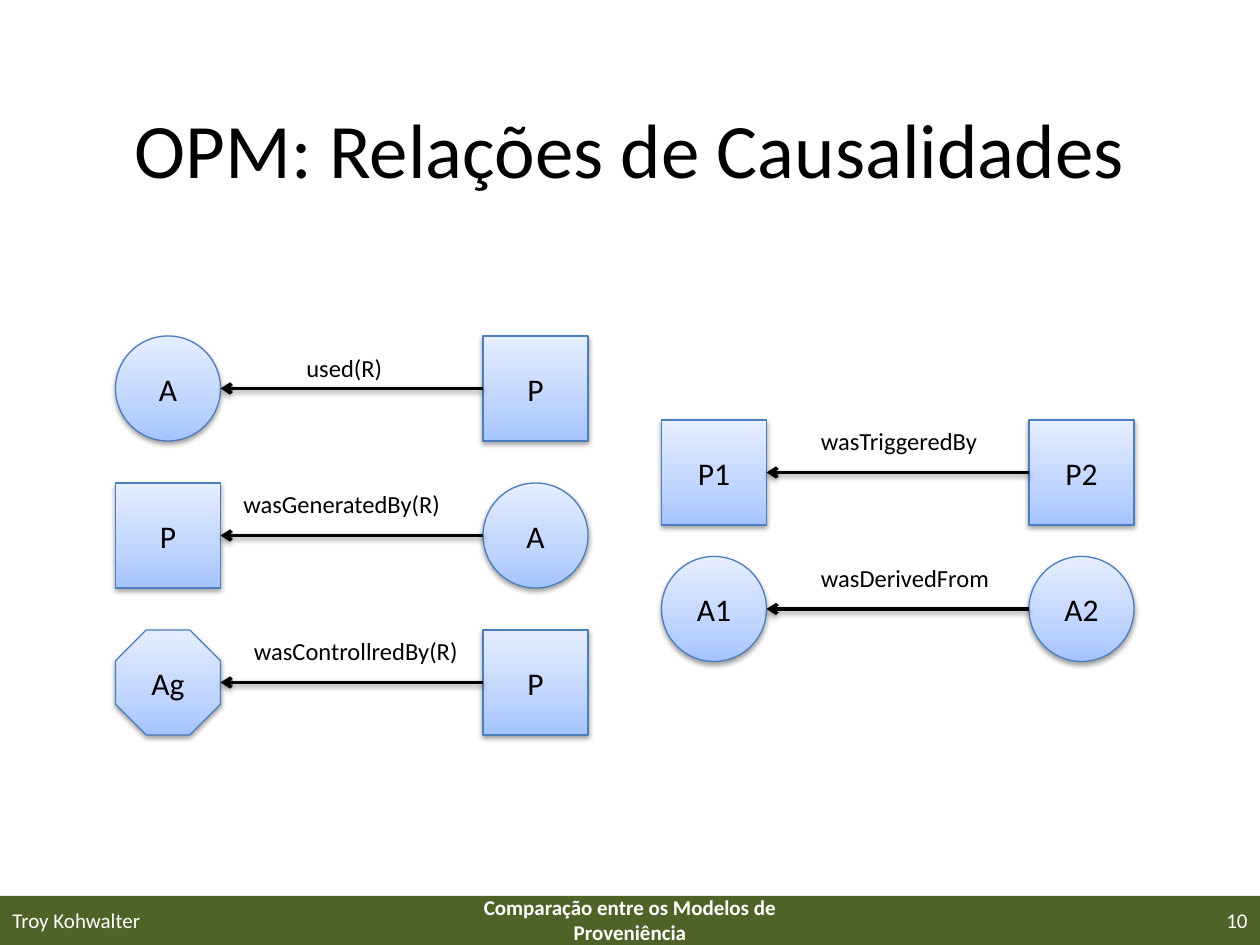
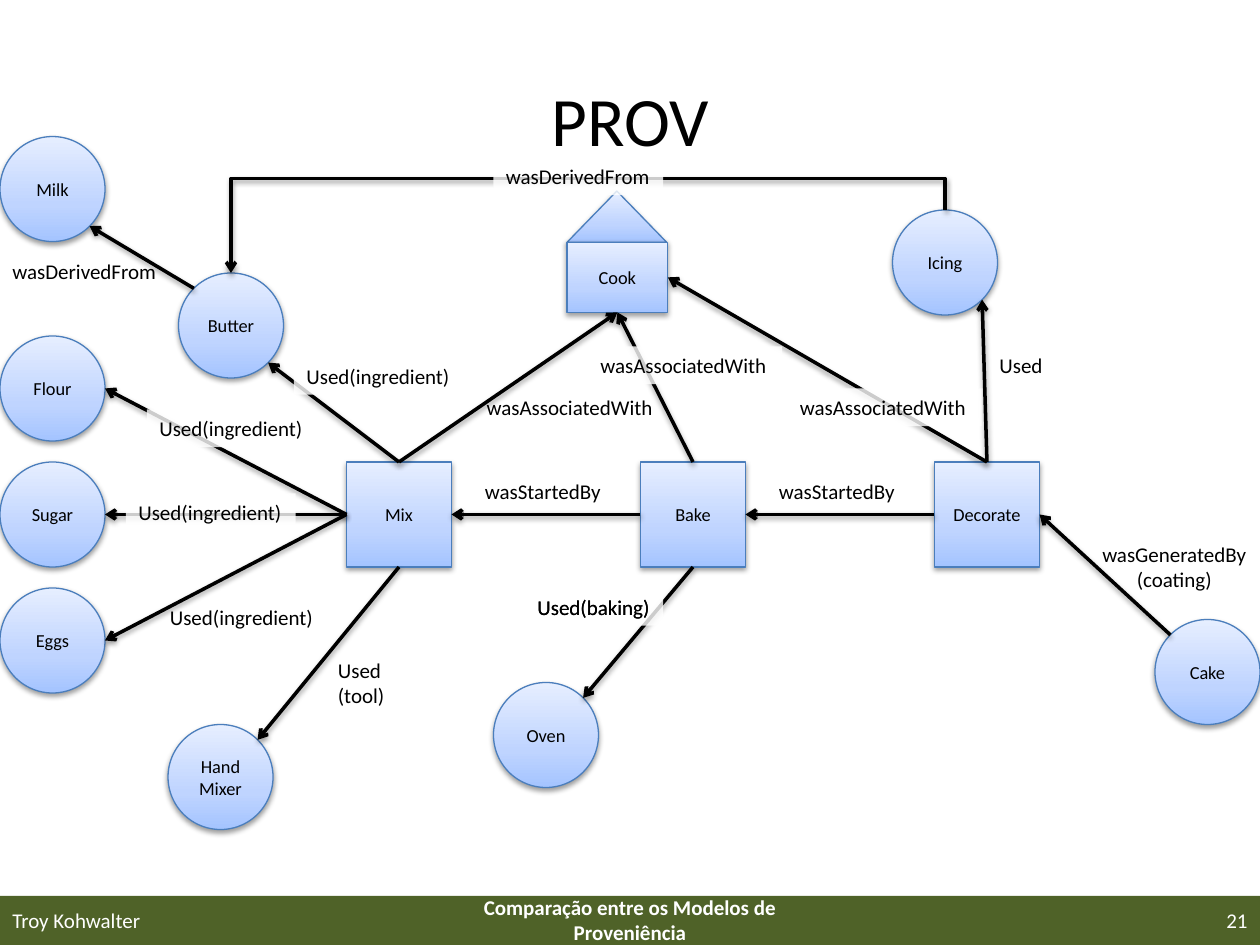
from copy import deepcopy

from lxml import etree
from pptx import Presentation, dml
from pptx import util as u
from pptx.dml.color import RGBColor
from pptx.enum import shapes, text
from pptx.oxml.ns import qn

FONT = "Calibri"
BLACK, WHITE, GREEN, EDGE = "000000", "FFFFFF", "4F6228", "4B7EBC"
NODE_GRADIENT = [(0, "A4C4FF"), (0.35, "BFD4FF"), (1, "E6EEFF")]
NODE_SIZE = 60
AUTHOR = "Troy Kohwalter"
TALK = "Comparação entre os Modelos de Proveniência"

SHAPE = shapes.MSO_SHAPE
BOX, CIRCLE, OCTAGON = SHAPE.RECTANGLE, SHAPE.OVAL, SHAPE.OCTAGON
LEFT, CENTER, RIGHT = text.PP_ALIGN.LEFT, text.PP_ALIGN.CENTER, text.PP_ALIGN.RIGHT

# Connection sites of a rectangle, and unit directions from a node's centre
SITES = {"n": 0, "w": 1, "s": 2, "e": 3}
D = 0.5 ** 0.5
DIRECTIONS = {"n": (0, -1), "w": (-1, 0), "s": (0, 1), "e": (1, 0),
              "nw": (-D, -D), "ne": (D, -D), "sw": (-D, D), "se": (D, D)}


def rgb(colour):
    return RGBColor.from_string(colour)


def points(*lengths):
    return [u.Pt(length) for length in lengths]


def write(shape, words, size, colour=BLACK, align=CENTER, bold=False):
    frame = shape.text_frame
    frame.text = words
    for para in frame.paragraphs:
        para.alignment = align
        for span in para.runs:
            span.font.name = FONT
            span.font.size = u.Pt(size)
            span.font.bold = bold
            span.font.color.rgb = rgb(colour)
    return frame


def add_shadow(shape):
    properties = shape.element.spPr
    for old in properties.findall(qn("a:effectLst")):
        properties.remove(old)
    effects = etree.SubElement(properties, qn("a:effectLst"))
    shadow = etree.SubElement(effects, qn("a:outerShdw"), blurRad="40000",
                              dist="20000", dir="5400000", rotWithShape="0")
    colour = etree.SubElement(shadow, qn("a:srgbClr"), val=BLACK)
    etree.SubElement(colour, qn("a:alpha"), val="38000")


# Slide frame: title, band and footer
def add_page(deck, title, title_height, title_size, number):
    page = deck.slides.add_slide(deck.slide_layouts[5])
    heading = page.shapes.title
    heading.left, heading.top, heading.width, heading.height = points(
        36, 39.6, 648, title_height)
    frame = write(heading, title, title_size)
    frame.vertical_anchor = text.MSO_ANCHOR.MIDDLE
    frame.auto_size = text.MSO_AUTO_SIZE.NONE

    band = page.shapes.add_shape(BOX, *points(0, 512, 720, 28))
    band.shadow.inherit = False
    band.fill.solid()
    band.fill.fore_color.rgb = rgb(GREEN)
    band.line.fill.background()

    for words, left, width, align in [(AUTHOR, 0, 168, LEFT),
                                      (TALK, 246, 228, CENTER),
                                      (str(number), 552, 168, RIGHT)]:
        footer = page.shapes.add_textbox(*points(left, 511.2, width, 28.8))
        frame = write(footer, words, 12, WHITE, align, bold=words == TALK)
        frame.word_wrap = True
        frame.vertical_anchor = text.MSO_ANCHOR.MIDDLE
    return page


def add_node(page, kind, words, left, top, size, width=NODE_SIZE, height=NODE_SIZE):
    node = page.shapes.add_shape(kind, *points(left, top, width, height))
    node.fill.gradient()
    node.fill.gradient_angle = 90
    stop_list = node.element.spPr.find(".//" + qn("a:gsLst"))
    stop_list.append(deepcopy(stop_list[0]))
    for stop, (position, colour) in zip(node.fill.gradient_stops, NODE_GRADIENT):
        stop.position = position
        stop.color.rgb = rgb(colour)
    node.line.color.rgb = rgb(EDGE)
    node.line.width = u.Pt(0.75)
    add_shadow(node)
    if words:
        frame = write(node, words, size)
        frame.vertical_anchor = text.MSO_ANCHOR.MIDDLE
        frame.margin_left = frame.margin_right = 0
    return node


def spot(node, side):
    across, down = DIRECTIONS[side]
    return (int(node.left + node.width * (1 + across) / 2),
            int(node.top + node.height * (1 + down) / 2))


def style_arrow(connector):
    connector.line.color.rgb = rgb(BLACK)
    connector.line.width = u.Pt(2)
    line = connector.element.spPr.find(qn("a:ln"))
    etree.SubElement(line, qn("a:tailEnd"), type="arrow")
    add_shadow(connector)


def add_arrow(page, source, source_side, target, target_side):
    arrow = page.shapes.add_connector(shapes.MSO_CONNECTOR.STRAIGHT,
                                      *spot(source, source_side),
                                      *spot(target, target_side))
    for node, side, join in [(source, source_side, arrow.begin_connect),
                             (target, target_side, arrow.end_connect)]:
        if node.auto_shape_type == BOX and side in SITES:
            join(node, SITES[side])
    style_arrow(arrow)


def add_overhead_arrow(page, source, target, rise):
    """Bent arrow that leaves the source's top and drops on the target's top."""
    (x1, y1), (x2, y2) = spot(source, "n"), spot(target, "n")
    middle_x, middle_y = (x1 + x2) // 2, (y1 + y2) // 2
    half_run, half_drop = (x1 - x2) // 2, (y2 - y1) // 2
    # The elbow is laid out upright, then turned by 270 degrees
    arrow = page.shapes.add_connector(
        shapes.MSO_CONNECTOR.ELBOW,
        middle_x + half_drop, middle_y + half_run,
        middle_x - half_drop, middle_y - half_run)
    properties = arrow.element.spPr
    properties.find(qn("a:xfrm")).set("rot", str(270 * 60000))
    bend = round(-100000 * u.Pt(rise) / (y2 - y1))
    etree.SubElement(properties.find(".//" + qn("a:avLst")), qn("a:gd"),
                     name="adj1", fmla=f"val {bend}")
    style_arrow(arrow)


def add_label(page, words, left, top, width, size=12, align=LEFT, veil=False):
    height = 7.2 + 1.2 * size * (words.count("\n") + 1)
    label = page.shapes.add_textbox(*points(left, top, width, height))
    frame = write(label, words, size, align=align)
    frame.word_wrap = False
    frame.auto_size = text.MSO_AUTO_SIZE.SHAPE_TO_FIT_TEXT
    if veil:
        label.fill.solid()
        label.fill.fore_color.rgb = rgb(WHITE)
        colour = label.element.spPr.find(".//" + qn("a:srgbClr"))
        etree.SubElement(colour, qn("a:alpha"), val="80000")


# Slide 1: pairs of nodes, each with its causal relation
def build_relations(deck):
    page = add_page(deck, "OPM: Relações de Causalidades", 90, 44, 10)
    relations = [
        (66, 192, CIRCLE, "A", BOX, "P", "used(R)", 168, 198, 58),
        (66, 276, BOX, "P", CIRCLE, "A", "wasGeneratedBy(R)", 132, 276, 128),
        (66, 360, OCTAGON, "Ag", BOX, "P", "wasControllredBy(R)", 138, 360, 132.5),
        (378, 240, BOX, "P1", BOX, "P2", "wasTriggeredBy", 462, 240, 105),
        (378, 318, CIRCLE, "A1", CIRCLE, "A2", "wasDerivedFrom", 462, 318, 111.5),
    ]
    for (left, top, effect_kind, effect, cause_kind, cause,
         words, label_left, label_top, label_width) in relations:
        target = add_node(page, effect_kind, effect, left, top, 18)
        source = add_node(page, cause_kind, cause, left + 210, top, 18)
        add_arrow(page, source, "w", target, "e")
        add_label(page, words, label_left, label_top, label_width, size=14)


# Slide 2: provenance graph of a cake
def build_cake_graph(deck):
    page = add_page(deck, "PROV", 57, 39.6, 21)

    places = [
        (CIRCLE, "Milk", 0, 78), (CIRCLE, "Flour", 0, 192),
        (CIRCLE, "Sugar", 0, 264), (CIRCLE, "Eggs", 0, 336),
        (CIRCLE, "Butter", 102, 156), (CIRCLE, "Hand Mixer", 96, 414),
        (CIRCLE, "Oven", 282, 390), (CIRCLE, "Icing", 510, 120),
        (CIRCLE, "Cake", 660, 354), (BOX, "Mix", 198, 264),
        (BOX, "Bake", 366, 264), (BOX, "Decorate", 534, 264),
    ]
    nodes = {name: add_node(page, kind, name, left, top, 10.5)
             for kind, name, left, top in places}

    # The agent is a house: a roof over a box
    add_node(page, SHAPE.ISOSCELES_TRIANGLE, "", 324, 109.2, 10.5, 57, 29.3)
    nodes["Cook"] = add_node(page, BOX, "Cook", 324, 138.5, 10.5, 57.6, 40)

    for source, source_side, target, target_side in [
        ("Cake", "nw", "Decorate", "e"), ("Decorate", "w", "Bake", "e"),
        ("Bake", "w", "Mix", "e"), ("Mix", "n", "Cook", "s"),
        ("Bake", "n", "Cook", "s"), ("Decorate", "n", "Cook", "e"),
        ("Decorate", "n", "Icing", "se"), ("Bake", "s", "Oven", "ne"),
        ("Mix", "s", "Hand Mixer", "ne"), ("Mix", "n", "Butter", "se"),
        ("Mix", "w", "Flour", "e"), ("Mix", "w", "Sugar", "e"),
        ("Mix", "w", "Eggs", "e"), ("Butter", "nw", "Milk", "se"),
    ]:
        add_arrow(page, nodes[source], source_side, nodes[target], target_side)
    add_overhead_arrow(page, nodes["Icing"], nodes["Butter"], rise=18)

    # Labels that veil the arrow beneath them
    for words, left, top, width in [
        ("wasStartedBy", 270, 270, 81), ("wasStartedBy", 438, 270, 81),
        ("wasAssociatedWith", 336, 198, 111), ("wasAssociatedWith", 450, 222, 111),
        ("Used(baking)", 300, 336, 79), ("Used(ingredient)", 84, 234, 97),
        ("Used(ingredient)", 72, 282, 97), ("Used(ingredient)", 168, 204, 97),
        ("wasDerivedFrom", 282, 90, 97),
    ]:
        add_label(page, words, left, top, width, veil=True)

    # Labels without a fill
    for words, left, top, width, align in [
        ("wasAssociatedWith", 270, 222, 111, CENTER),
        ("Used(baking)", 300, 336, 79, LEFT),
        ("wasDerivedFrom", 0, 144, 97, LEFT),
        ("Used(ingredient)", 90, 342, 97, LEFT),
        ("Used", 564, 198, 39.5, LEFT),
        ("Used\n(tool)", 186, 372, 41.5, LEFT),
        ("wasGeneratedBy\n(coating)", 622, 306, 98, CENTER),
    ]:
        add_label(page, words, left, top, width, align=align)


def main():
    deck = Presentation()
    deck.slide_width, deck.slide_height = points(720, 540)
    build_relations(deck)
    build_cake_graph(deck)
    deck.save("out.pptx")


if __name__ == "__main__":
    main()
